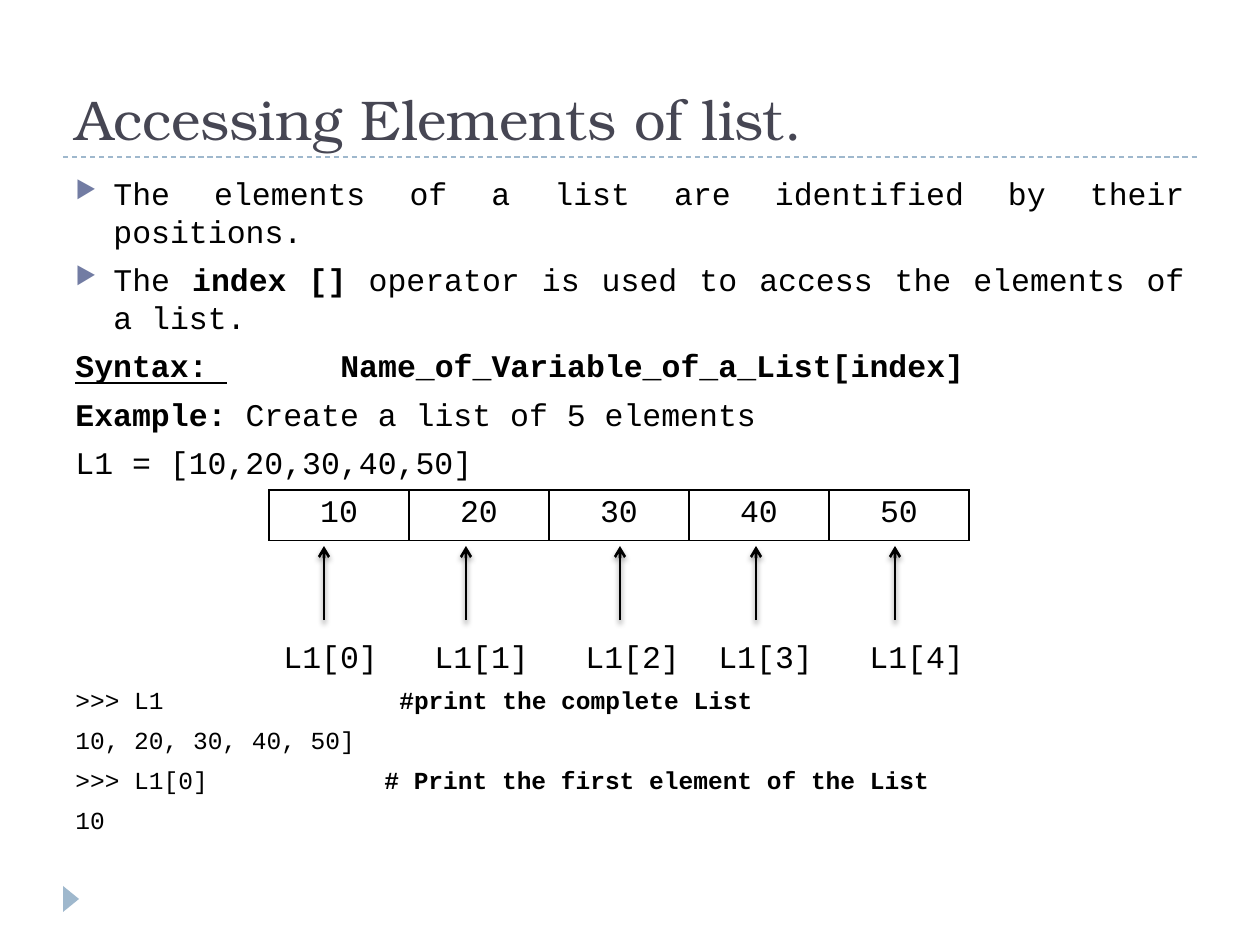
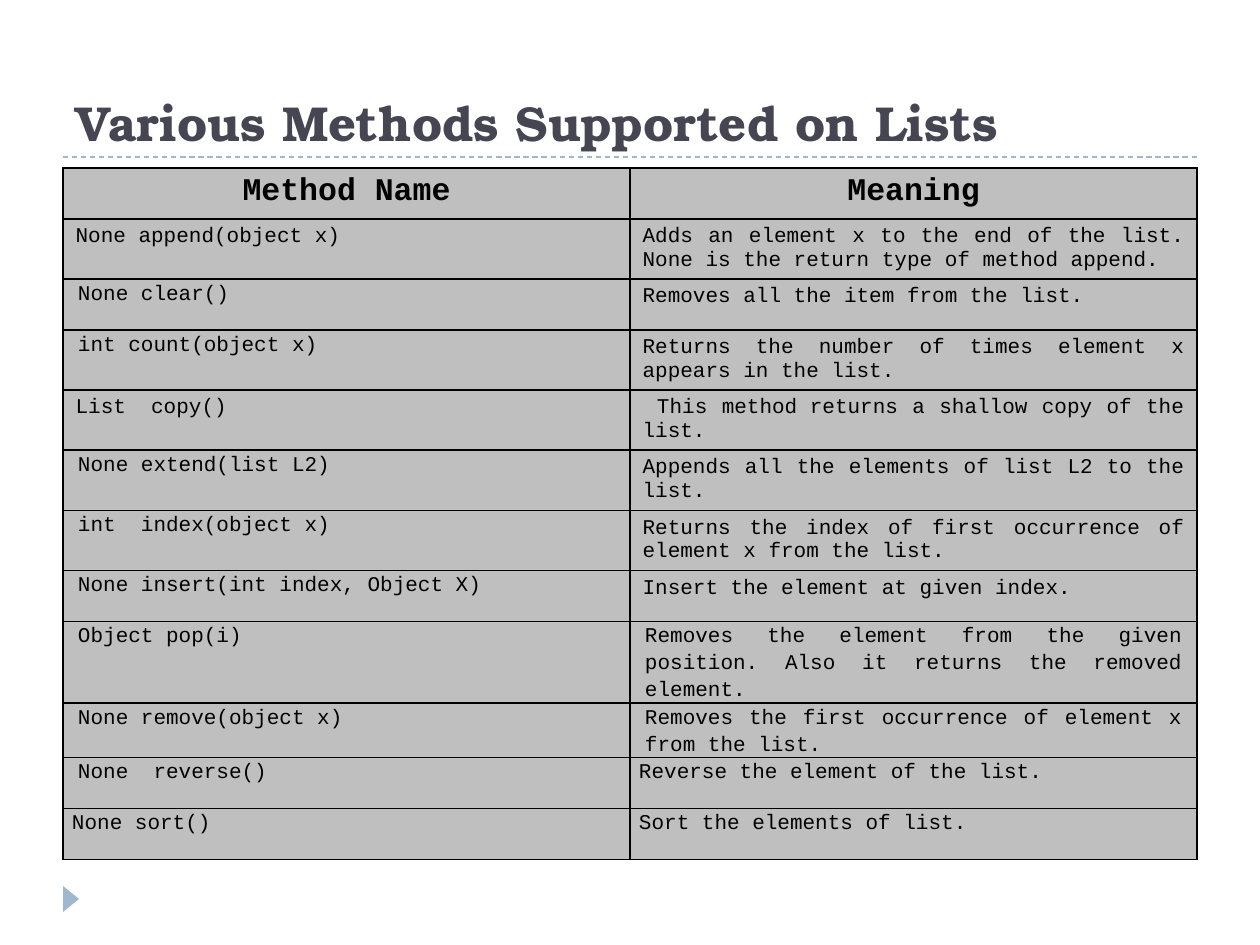
"""Build two slides on Python lists: element access and supported methods."""
from dataclasses import dataclass
from lxml import etree
from pptx import Presentation
from pptx import util as u
from pptx.dml import color
from pptx.enum import dml, shapes, text
from pptx.oxml import ns

SCALE = 914400 / 126
ALIGN = {"l": text.PP_ALIGN.LEFT, "c": text.PP_ALIGN.CENTER, "j": text.PP_ALIGN.JUSTIFY}


def px(num):
    return u.Emu(round(num * SCALE))


def sub(node, tag, **attrs):
    return etree.SubElement(node, ns.qn("a:" + tag), {k: str(v) for k, v in attrs.items()})


def rgb(hue):
    return color.RGBColor.from_string(hue)


@dataclass(frozen=True)
class Theme:
    serif: str = "TeX Gyre Bonum"
    mono: str = "Courier New"
    ink: str = "000000"
    head: str = "464653"
    rule: str = "9FB8CD"
    mark: str = "727CA3"
    cell: str = "BFBFBF"
    title: int = 32
    strong: int = 28
    body: int = 18
    code: int = 14
    small: int = 12


class Deck:
    def __init__(self, theme):
        self.theme = theme
        self.prs = Presentation()
        self.prs.slide_width, self.prs.slide_height = px(1260), px(945)
        self.slide = None

    def font(self, run, size, face=None, hue=None, style=""):
        font = run.font
        font.name = face or self.theme.mono
        font.size = u.Pt(size)
        font.color.rgb = rgb(hue or self.theme.ink)
        font.bold = "b" in style
        font.underline = "u" in style

    def page(self, name, size, style=""):
        self.slide = self.prs.slides.add_slide(self.prs.slide_layouts[5])
        rule = self.line((63, 157), (1197, 157), self.theme.rule, 0.75)
        rule.line.dash_style = dml.MSO_LINE.DASH
        flag = self.slide.shapes.add_shape(
            shapes.MSO_SHAPE.ISOSCELES_TRIANGLE, px(58), px(891), px(26), px(16))
        flag.rotation = 90
        flag.shadow.inherit = False
        flag.fill.solid()
        flag.fill.fore_color.rgb = rgb(self.theme.rule)
        flag.line.fill.background()
        title = self.slide.shapes.title
        title.left, title.top, title.width, title.height = px(63), px(21), px(1134), px(137)
        frame = title.text_frame
        frame.text = name
        frame.auto_size = text.MSO_AUTO_SIZE.NONE
        frame.vertical_anchor = text.MSO_ANCHOR.BOTTOM
        frame.paragraphs[0].alignment = ALIGN["l"]
        self.font(frame.paragraphs[0].runs[0], size, self.theme.serif, self.theme.head, style)

    def line(self, start, end, hue, width):
        line = self.slide.shapes.add_connector(
            shapes.MSO_CONNECTOR.STRAIGHT, *map(px, start + end))
        line.line.color.rgb = rgb(hue)
        line.line.width = u.Pt(width)
        sub(line.element.spPr, "effectLst")
        return line

    def arrow(self, x, foot, tip):
        line = self.line((x, foot), (x, tip), self.theme.ink, 1.5)
        props = line.element.spPr
        sub(props.find(ns.qn("a:ln")), "tailEnd", type="arrow")
        shade = sub(props.find(ns.qn("a:effectLst")), "outerShdw", blurRad=u.Pt(3),
                    dist=u.Pt(2), dir=5400000, rotWithShape=0)
        sub(sub(shade, "srgbClr", val=self.theme.ink), "alpha", val=40000)

    def body(self, box, rows):
        shape = self.slide.shapes.add_textbox(*map(px, box))
        frame = shape.text_frame
        frame.word_wrap = True
        for i, row in enumerate(rows):
            para = frame.add_paragraph() if i else frame.paragraphs[0]
            self.para(para, **row)

    def para(self, para, spans, size, gap=6, bullet=False, tabs=()):
        para.alignment = ALIGN["l" if tabs else "j"]
        para.space_before = u.Pt(gap)
        for words, style in spans:
            run = para.add_run()
            run.text = words
            self.font(run, size, style=style)
        props = para._p.get_or_add_pPr()
        if bullet:
            props.set("marL", str(px(38)))
            props.set("indent", str(px(-38)))
            sub(sub(props, "buClr"), "srgbClr", val=self.theme.mark)
            sub(props, "buSzPct", val=76000)
            sub(props, "buChar", char="\u25b6")
        if tabs:
            stops = sub(props, "tabLst")
            for stop in tabs:
                sub(stops, "tab", pos=px(stop), algn="l")

    def table(self, box, rows, fill=None):
        grid = self.slide.shapes.add_table(len(rows), len(rows[0]), *map(px, box)).table
        grid.first_row = grid.horz_banding = False
        for r, row in enumerate(rows):
            for c, item in enumerate(row):
                self.cell(grid.cell(r, c), fill, *item)

    def cell(self, cell, fill, words, size, align, style="", inset=0):
        props = cell._tc.get_or_add_tcPr()
        for side in ("lnL", "lnR", "lnT", "lnB"):
            edge = sub(props, side, w=u.Pt(1))
            sub(sub(edge, "solidFill"), "srgbClr", val=self.theme.ink)
        if fill:
            cell.fill.solid()
            cell.fill.fore_color.rgb = rgb(fill)
        else:
            cell.fill.background()
        cell.text_frame.text = words
        para = cell.text_frame.paragraphs[0]
        para.alignment = ALIGN[align]
        self.font(para.runs[0], size, style=style)
        if inset:
            cell.margin_left = cell.margin_right = px(inset)
            cell.margin_top = cell.margin_bottom = 0
            para.line_spacing = 1.15


def access(deck):
    look = deck.theme
    deck.page("Accessing Elements of list.", look.title)
    big, code = look.body, look.code
    deck.body((63, 168, 1134, 680), [
        dict(spans=[("The elements of a list are identified by their positions.", "")],
             size=big, bullet=True),
        dict(spans=[("The ", ""), ("index [] ", "b"),
                    ("operator is used to access the elements of a list.", "")],
             size=big, bullet=True),
        dict(spans=[("Syntax: ", "bu"), ("\tName_of_Variable_of_a_List[index]", "b")],
             size=big, tabs=[265]),
        dict(spans=[("Example: ", "b"), ("Create a list of 5 elements", "")], size=big),
        dict(spans=[("L1 = [10,20,30,40,50]", "")], size=big),
        dict(spans=[("".join(f"\tL1[{i}]" for i in range(5)), "")],
             size=big, gap=89, tabs=[208, 359, 510, 643, 794]),
        dict(spans=[(">>> L1", ""), ("\t#print the complete List", "b")], size=code, tabs=[324]),
        dict(spans=[("10, 20, 30, 40, 50]", "")], size=code),
        dict(spans=[(">>> L1[0]", ""), ("\t# Print the first element of the List", "b")],
             size=code, tabs=[309]),
        dict(spans=[("10", "")], size=code),
    ])
    deck.table((269, 490, 700, 48), [[(str(n), big, "c") for n in range(10, 60, 10)]])
    for x in (324, 466, 620, 756, 895):
        deck.arrow(x, 620, 546)


def methods(deck):
    look = deck.theme
    deck.page("Various Methods Supported on Lists", look.strong, "b")
    rows = [
        ("None append(object x)", 0,
         "Adds an element x to the end of the list. None is the return type of method append.", 0),
        ("None clear()", 15, "Removes all the item from the list.", 0),
        ("int count(object x)", 15,
         "Returns the number of times element x appears in the list.", 0),
        ("List  copy()", 0, " This method\u00a0returns a shallow copy of the list.", 0),
        ("None extend(list L2)", 15, "Appends all the elements of list L2 to the list.", 0),
        ("int  index(object x)", 15,
         "Returns the index of first occurrence of element x from the list.", 0),
        ("None insert(int index, Object X)", 15, "Insert the element at given index.", 0),
        ("Object pop(i)", 15,
         "Removes the element from the given position. Also it returns the removed element.", 15),
        ("None remove(object x)", 15,
         "Removes the first occurrence of element x from the list.", 15),
        ("None  reverse()", 15, "Reverse the element of the list.", 9),
        ("None sort()", 9, "Sort the elements of list.", 9),
    ]
    cells = [[(name, look.body, "c", "b") for name in ("Method Name", "Meaning")]]
    for name, left, use, right in rows:
        cells.append([(name, look.small, "l", "", left), (use, look.small, "j", "", right)])
    deck.table((63, 168, 1134, 51 * len(cells)), cells, look.cell)


def main():
    deck = Deck(Theme())
    access(deck)
    methods(deck)
    deck.prs.save("out.pptx")


main()
